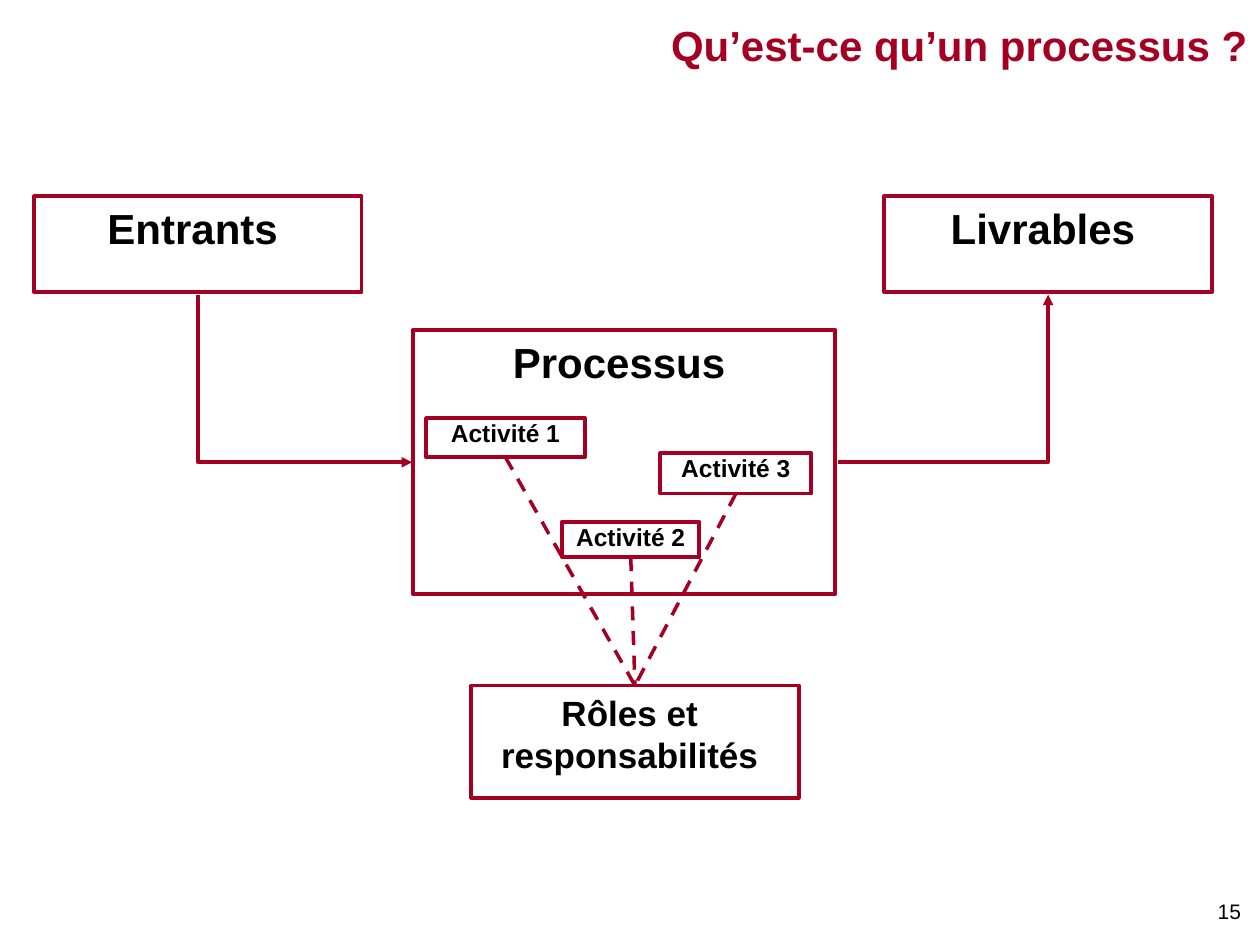
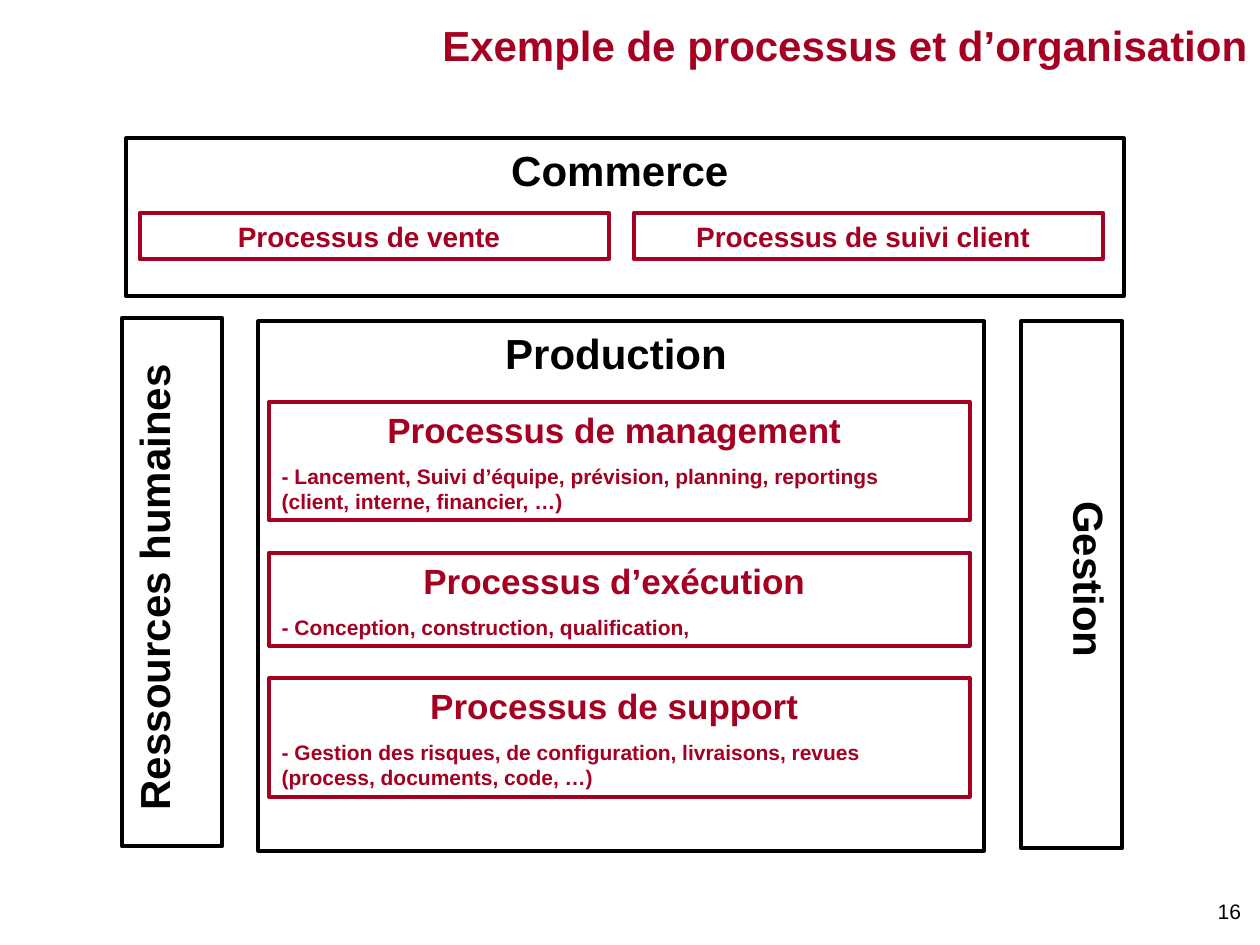
import pptx
import pptx.dml.color
import pptx.enum.dml
import pptx.enum.shapes
import pptx.enum.text
import pptx.oxml.ns
import pptx.util
from lxml import etree

Cm = pptx.util.Cm
Pt = pptx.util.Pt
qn = pptx.oxml.ns.qn
ALIGN = pptx.enum.text.PP_ALIGN
ANCHOR = pptx.enum.text.MSO_ANCHOR
CONNECTOR = pptx.enum.shapes.MSO_CONNECTOR

RED = "A50021"
BLACK = "000000"
FONT = "Arial"
INSETS = (0.25, 0.13, 0.46, 0.13)


def color(value):
    return pptx.dml.color.RGBColor.from_string(value)


def add_box(page, place, lines, text_color=BLACK, edge=None, align=ALIGN.CENTER,
            insets=INSETS, anchor=ANCHOR.TOP):
    """Add a rectangle; lines holds (text, size, bold) for each paragraph."""
    box = page.shapes.add_shape(pptx.enum.shapes.MSO_SHAPE.RECTANGLE,
                                *(Cm(length) for length in place))
    box.shadow.inherit = False
    box.fill.background()
    if edge:
        box.line.color.rgb = color(edge)
        box.line.width = Pt(2.25)
    else:
        box.line.fill.background()
    frame = box.text_frame
    frame.word_wrap = True
    frame.vertical_anchor = anchor
    frame.margin_left, frame.margin_top, frame.margin_right, frame.margin_bottom = map(Cm, insets)
    for index, (text, size, bold) in enumerate(lines):
        para = frame.add_paragraph() if index else frame.paragraphs[0]
        para.text = text
        # Details under a heading are left-aligned and set apart
        para.alignment = ALIGN.LEFT if index else align
        if index:
            para.space_before = Pt(7.5)
        para.font.name = FONT
        para.font.size = Pt(size)
        para.font.bold = bold
        para.font.color.rgb = color(text_color)
    return box


deck = pptx.Presentation()
deck.slide_width = Cm(25.4)
deck.slide_height = Cm(19.05)

# Titles and page numbers
pages = []
even_insets = (0.25, 0.13, 0.25, 0.13)
for number, title in ((15, "Qu’est-ce qu’un processus ?"),
                      (16, "Exemple de processus et d’organisation")):
    page = deck.slides.add_slide(deck.slide_layouts[6])
    add_box(page, (22.83, 17.98, 2.44, 0.76), [(str(number), 12, False)],
            align=ALIGN.RIGHT, insets=even_insets)
    add_box(page, (5.97, 0, 19.43, 1.8), [(title, 24, True)], RED,
            align=ALIGN.RIGHT, insets=even_insets, anchor=ANCHOR.MIDDLE)
    pages.append(page)
process_page, organisation_page = pages

# Process, its inputs and its deliverables
for text, place in (("Processus", (8.33, 6.65, 8.51, 5.33)),
                    ("Entrants", (0.69, 3.96, 6.6, 1.93)),
                    ("Livrables", (17.83, 3.96, 6.6, 1.93))):
    add_box(process_page, place, [(text, 24, True)], edge=RED)
roles = add_box(process_page, (9.5, 13.82, 6.6, 2.26),
                [("Rôles et responsabilités", 20, True)], edge=RED)

# Activities, each tied to the roles by a dashed line
links = []
for number, place in enumerate(((8.59, 8.43, 3.2, 0.79),
                                (11.33, 10.52, 2.77, 0.71),
                                (13.31, 9.14, 3.05, 0.81)), start=1):
    activity = add_box(process_page, place, [(f"Activité {number}", 14, True)],
                       edge=RED, insets=(0, 0, 0, 0))
    link = process_page.shapes.add_connector(CONNECTOR.STRAIGHT, 0, 0, 0, 0)
    link.begin_connect(activity, 2)
    link.end_connect(roles, 0)
    link.line.dash_style = pptx.enum.dml.MSO_LINE.DASH
    links.append((link, None))

# Single-bend arrows into and out of the process
for start_x, end_x, arrow_end in ((8.31, 3.99, "a:headEnd"), (16.89, 21.13, "a:tailEnd")):
    link = process_page.shapes.add_connector(CONNECTOR.ELBOW, Cm(start_x), Cm(9.32),
                                             Cm(end_x), Cm(5.94))
    link._element.spPr.find(qn("a:prstGeom")).set("prst", "bentConnector2")
    links.append((link, arrow_end))

for link, arrow_end in links:
    link.line.color.rgb = color(RED)
    link.line.width = Pt(2)
    if arrow_end:
        etree.SubElement(link.line._get_or_add_ln(), qn(arrow_end), type="triangle")
    etree.SubElement(link._element.spPr, qn("a:effectLst"))

# Departments
for text, place, rotation in (("Commerce", (2.54, 2.79, 20.12, 3.18), 0),
                              ("Production", (5.21, 6.48, 14.63, 10.67), 0),
                              ("Gestion", (16.28, 10.77, 10.64, 2.03), 90),
                              ("Ressources humaines", (-1.85, 10.72, 10.64, 2.03), 270)):
    department = add_box(organisation_page, place, [(text, 24, True)], edge=BLACK)
    department.rotation = rotation

# Sales processes
for column, text in enumerate(("Processus de vente", "Processus de suivi client")):
    add_box(organisation_page, (2.82 + column * 9.96, 4.29, 9.45, 0.94),
            [(text, 16, True)], RED, edge=RED)

# Production processes, stacked with equal gaps
top = 8.1
for heading, detail, height in (
        ("Processus de management",
         "- Lancement, Suivi d’équipe, prévision, planning, reportings "
         "(client, interne, financier, …)", 2.39),
        ("Processus d’exécution", "- Conception, construction, qualification,", 1.88),
        ("Processus de support",
         "- Gestion des risques, de configuration, livraisons, revues "
         "(process, documents, code, …)", 2.39)):
    add_box(organisation_page, (5.43, top, 14.12, height),
            [(heading, 20, True), (detail, 12, True)], RED, edge=RED)
    top += height + 0.65

deck.save("out.pptx")
